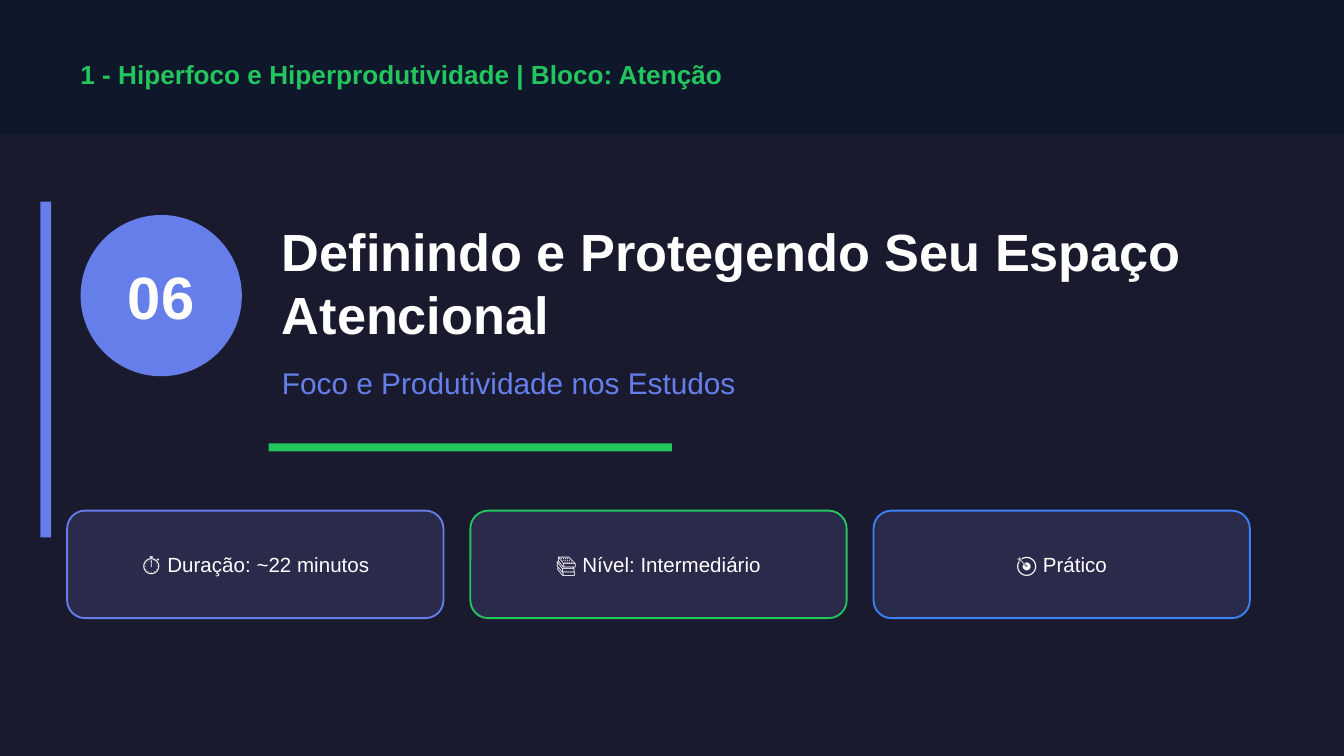
from dataclasses import dataclass

import pptx
import pptx.dml.color
import pptx.enum.shapes
import pptx.enum.text
import pptx.shapes.autoshape
import pptx.slide
import pptx.util

Pt = pptx.util.Pt
ShapeKind = pptx.enum.shapes.MSO_SHAPE
Alignment = pptx.enum.text.PP_ALIGN


@dataclass(frozen=True)
class Theme:
    font: str = "Arial"
    background: str = "1A1A2E"
    header: str = "0F172A"
    card: str = "2A2A4A"
    indigo: str = "667EEA"
    green: str = "22C55E"
    blue: str = "3B82F6"
    white: str = "FFFFFF"
    number_size: float = 32
    title_size: float = 28
    subtitle_size: float = 16
    header_size: float = 14
    card_size: float = 11


@dataclass(frozen=True)
class Box:
    left: float
    top: float
    width: float
    height: float

    def lengths(self) -> tuple:
        return Pt(self.left), Pt(self.top), Pt(self.width), Pt(self.height)


@dataclass(frozen=True)
class Panel:
    box: Box
    fill: str
    kind: ShapeKind = ShapeKind.RECTANGLE
    outline: str | None = None


@dataclass(frozen=True)
class Label:
    box: Box
    text: str
    size: float
    color: str
    bold: bool = False
    alignment: Alignment = Alignment.LEFT


@dataclass(frozen=True)
class Card:
    text: str
    outline: str


THEME = Theme()
PANELS = (
    Panel(Box(0, 0, 720, 72), THEME.header),
    Panel(Box(21.6, 108, 5.76, 180), THEME.indigo),
    Panel(Box(43.2, 115.2, 86.4, 86.4), THEME.indigo, ShapeKind.OVAL),
    Panel(Box(144, 237.6, 216, 4.32), THEME.green),
)
LABELS = (
    Label(Box(36, 25.2, 648, 28.8), "1 - Hiperfoco e Hiperprodutividade | Bloco: Atenção",
          THEME.header_size, THEME.green, True),
    Label(Box(43.2, 133.2, 86.4, 50.4), "06",
          THEME.number_size, THEME.white, True, Alignment.CENTER),
    Label(Box(144, 115.2, 540, 72), "Definindo e Protegendo Seu Espaço Atencional",
          THEME.title_size, THEME.white, True),
    Label(Box(144, 187.2, 540, 36), "Foco e Produtividade nos Estudos",
          THEME.subtitle_size, THEME.indigo),
)
CARDS = (
    Card("⏱ Duração: ~22 minutos", THEME.indigo),
    Card("📚 Nível: Intermediário", THEME.green),
    Card("🎯 Prático", THEME.blue),
)
CARD_LEFT, CARD_WIDTH, CARD_GAP = 36, 201.6, 14.4


def rgb(color: str) -> pptx.dml.color.RGBColor:
    return pptx.dml.color.RGBColor.from_string(color)


def apply_format(target: object, values: dict) -> None:
    for name, value in values.items():
        setattr(target, name, value)


def draw_panel(slide: pptx.slide.Slide, panel: Panel) -> pptx.shapes.autoshape.Shape:
    shape = slide.shapes.add_shape(panel.kind, *panel.box.lengths())
    shape.shadow.inherit = False
    shape.fill.solid()
    shape.fill.fore_color.rgb = rgb(panel.fill)
    if panel.outline:
        shape.line.color.rgb = rgb(panel.outline)
        shape.line.width = Pt(1)
    else:
        shape.line.fill.background()
    return shape


def draw_label(slide: pptx.slide.Slide, label: Label) -> None:
    frame = slide.shapes.add_textbox(*label.box.lengths()).text_frame
    apply_format(frame, {"word_wrap": True, "vertical_anchor": pptx.enum.text.MSO_ANCHOR.MIDDLE})
    paragraph = frame.paragraphs[0]
    paragraph.alignment = label.alignment
    run = paragraph.add_run()
    run.text = label.text
    apply_format(run.font, {"name": THEME.font, "size": Pt(label.size), "bold": label.bold})
    run.font.color.rgb = rgb(label.color)


def draw_card(slide: pptx.slide.Slide, card: Card, left: float) -> None:
    draw_panel(slide, Panel(Box(left, 273.6, CARD_WIDTH, 57.6), THEME.card,
                            ShapeKind.ROUNDED_RECTANGLE, card.outline))
    draw_label(slide, Label(Box(left, 284.4, CARD_WIDTH, 36), card.text,
                            THEME.card_size, THEME.white, alignment=Alignment.CENTER))


def main() -> None:
    """Build the lesson opening slide and save it."""
    presentation = pptx.Presentation()
    apply_format(presentation, {"slide_width": Pt(720), "slide_height": Pt(405)})
    slide = presentation.slides.add_slide(presentation.slide_layouts[6])
    slide.background.fill.solid()
    slide.background.fill.fore_color.rgb = rgb(THEME.background)
    for panel in PANELS:
        draw_panel(slide, panel)
    for label in LABELS:
        draw_label(slide, label)
    for index, card in enumerate(CARDS):
        draw_card(slide, card, CARD_LEFT + index * (CARD_WIDTH + CARD_GAP))
    presentation.save("out.pptx")


if __name__ == "__main__":
    main()
